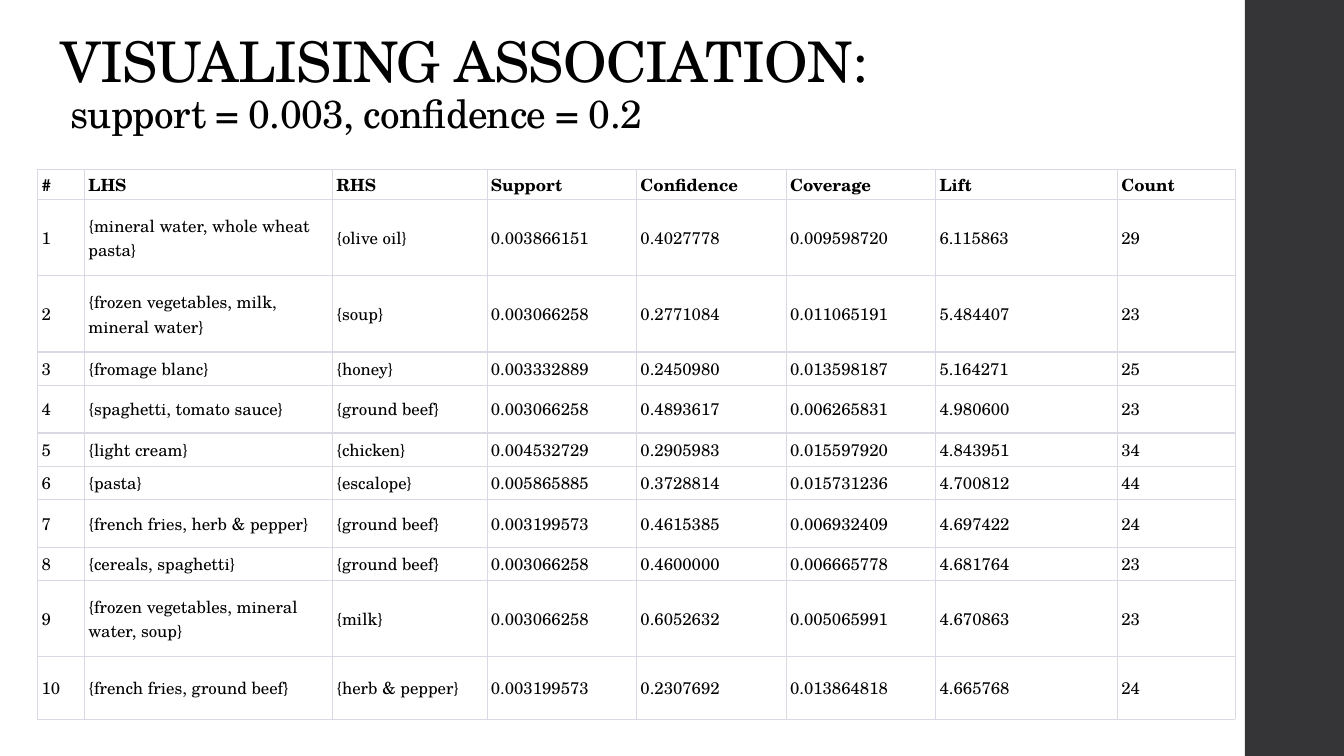
from dataclasses import dataclass

from lxml.etree import SubElement
from pptx import Presentation
from pptx.dml.color import RGBColor
from pptx.enum.shapes import MSO_SHAPE
from pptx.enum.text import MSO_ANCHOR, MSO_AUTO_SIZE, PP_ALIGN
from pptx.oxml.ns import qn
from pptx.util import Cm, Pt


@dataclass(frozen=True)
class Theme:
    """Colours, font and type sizes of the slide."""
    text: RGBColor = RGBColor(0x00, 0x00, 0x00)
    side_bar: RGBColor = RGBColor(0x35, 0x35, 0x37)
    grid: str = "D9D9E3"
    font: str = "TeX Gyre Schola"
    title_size: int = 40
    subtitle_size: int = 28
    table_size: int = 12


theme = Theme()


def add_text(paragraph, text, size=theme.table_size, bold=False, spacing=0):
    """Add a formatted run; spacing is in hundredths of a point."""
    run = paragraph.add_run()
    run.text = text
    run.font.name = theme.font
    run.font.size = Pt(size)
    run.font.bold = bold
    run.font.color.rgb = theme.text
    if spacing:
        run._r.get_or_add_rPr().set("spc", str(spacing))


def set_borders(cell, top, bottom, sides=0.6):
    """Draw the four borders of a cell, with widths in points."""
    properties = cell._tc.get_or_add_tcPr()
    widths = {"a:lnL": sides, "a:lnR": sides, "a:lnT": top, "a:lnB": bottom}
    for position, (tag, width) in enumerate(widths.items()):
        line = SubElement(properties, qn(tag), w=str(Pt(width)))
        fill = SubElement(line, qn("a:solidFill"))
        SubElement(fill, qn("a:srgbClr"), val=theme.grid)
        properties.insert(position, line)


presentation = Presentation()
presentation.slide_width = Cm(33.87)
presentation.slide_height = Cm(19.05)
slide = presentation.slides.add_slide(presentation.slide_layouts[5])

# Side bar
side_bar = slide.shapes.add_shape(
    MSO_SHAPE.RECTANGLE, Cm(31.37), 0, Cm(2.5), presentation.slide_height)
side_bar.shadow.inherit = False
side_bar.fill.solid()
side_bar.fill.fore_color.rgb = theme.side_bar
side_bar.line.fill.background()

# Title
title = slide.shapes.title
title.left, title.top, title.width, title.height = Cm(1.27), Cm(0.64), Cm(32.03), Cm(2.95)
title_frame = title.text_frame
title_frame.word_wrap = True
title_frame.auto_size = MSO_AUTO_SIZE.NONE
title_frame.vertical_anchor = MSO_ANCHOR.BOTTOM
heading = title_frame.paragraphs[0]
heading.alignment = PP_ALIGN.LEFT
heading.line_spacing = 0.9
add_text(heading, "VISUALISING ASSOCIATION:", size=theme.title_size, spacing=-50)
heading.add_line_break()
add_text(heading, " support = 0.003, confidence = 0.2", size=theme.subtitle_size, spacing=-50)

# Association rules
headers = ["#", "LHS", "RHS", "Support", "Confidence", "Coverage", "Lift", "Count"]
rules = [
    ("{mineral water, whole wheat pasta}", "{olive oil}",
     "0.003866151", "0.4027778", "0.009598720", "6.115863", "29"),
    ("{frozen vegetables, milk, mineral water}", "{soup}",
     "0.003066258", "0.2771084", "0.011065191", "5.484407", "23"),
    ("{fromage blanc}", "{honey}",
     "0.003332889", "0.2450980", "0.013598187", "5.164271", "25"),
    ("{spaghetti, tomato sauce}", "{ground beef}",
     "0.003066258", "0.4893617", "0.006265831", "4.980600", "23"),
    ("{light cream}", "{chicken}",
     "0.004532729", "0.2905983", "0.015597920", "4.843951", "34"),
    ("{pasta}", "{escalope}",
     "0.005865885", "0.3728814", "0.015731236", "4.700812", "44"),
    ("{french fries, herb & pepper}", "{ground beef}",
     "0.003199573", "0.4615385", "0.006932409", "4.697422", "24"),
    ("{cereals, spaghetti}", "{ground beef}",
     "0.003066258", "0.4600000", "0.006665778", "4.681764", "23"),
    ("{frozen vegetables, mineral water, soup}", "{milk}",
     "0.003066258", "0.6052632", "0.005065991", "4.670863", "23"),
    ("{french fries, ground beef}", "{herb & pepper}",
     "0.003199573", "0.2307692", "0.013864818", "4.665768", "24"),
]
rows = [headers] + [(str(number), *rule) for number, rule in enumerate(rules, start=1)]
column_widths = [1.18, 6.25, 3.89, 3.77, 3.77, 3.77, 4.58, 2.96]
short, medium, tall = 0.84, 1.2, 1.92
row_heights = [0.76, tall, tall, short, medium, short, short, medium, short, tall, 1.57]

table = slide.shapes.add_table(
    len(rows), len(headers), Cm(0.95), Cm(4.27),
    Cm(sum(column_widths)), Cm(sum(row_heights))).table
table.first_row = False
table.horz_banding = False
for column, width in zip(table.columns, column_widths):
    column.width = Cm(width)

last_row = len(rows) - 1
for row_index, (values, height) in enumerate(zip(rows, row_heights)):
    table.rows[row_index].height = Cm(height)
    is_header = row_index == 0
    for column_index, value in enumerate(values):
        cell = table.cell(row_index, column_index)
        cell.margin_left = cell.margin_right = Cm(0.1)
        cell.margin_top = cell.margin_bottom = Cm(0.05)
        cell.vertical_anchor = MSO_ANCHOR.BOTTOM if is_header else MSO_ANCHOR.MIDDLE
        cell.fill.background()
        set_borders(cell, top=0.6 if is_header else 1,
                    bottom=0.6 if row_index == last_row else 1)
        add_text(cell.text_frame.paragraphs[0], value, bold=is_header)

presentation.save("out.pptx")
